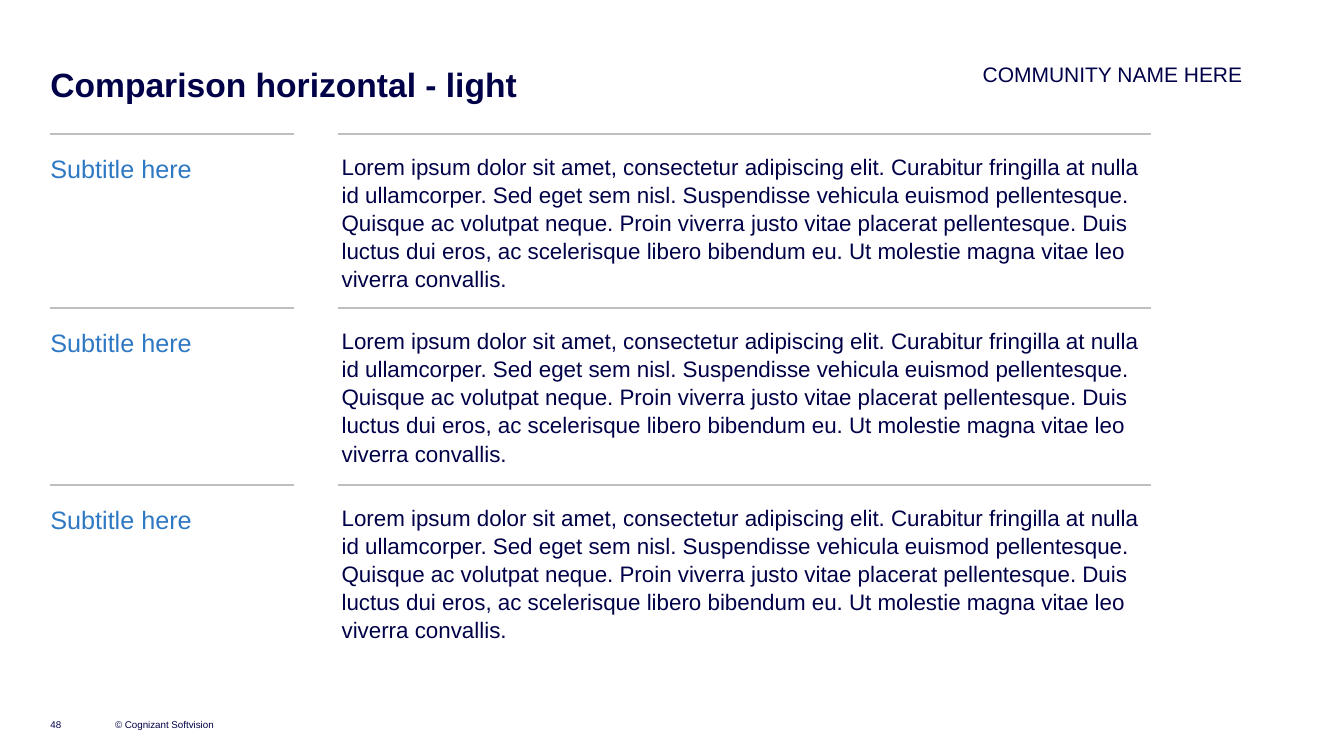
from dataclasses import dataclass

from lxml.etree import SubElement
from pptx import Presentation
from pptx.dml.color import RGBColor
from pptx.enum.shapes import MSO_CONNECTOR
from pptx.enum.text import MSO_ANCHOR, MSO_AUTO_SIZE, PP_ALIGN
from pptx.oxml.ns import qn
from pptx.util import Cm, Pt


@dataclass(frozen=True)
class Theme:
    font: str = "Arial"
    navy: str = "000048"
    blue: str = "2F78C4"
    grey: str = "BFBFBF"
    title: float = 24
    subtitle: float = 18
    body: float = 16
    community: float = 15
    footer: float = 7
    rule: float = 1.25


def write(frame, text, *, theme, size, color, bold=False, align=PP_ALIGN.LEFT,
          anchor=MSO_ANCHOR.TOP, spacing=1.0):
    """Fill a text frame with one formatted paragraph."""
    frame.margin_left = frame.margin_right = 0
    frame.margin_top = frame.margin_bottom = 0
    frame.word_wrap = True
    frame.auto_size = MSO_AUTO_SIZE.NONE
    frame.vertical_anchor = anchor
    paragraph = frame.paragraphs[0]
    paragraph.alignment = align
    paragraph.line_spacing = spacing
    run = paragraph.add_run()
    run.text = text
    run.font.name = theme.font
    run.font.size = Pt(size)
    run.font.bold = bold
    run.font.color.rgb = RGBColor.from_string(color)


class SlideBuilder:
    def __init__(self, slide, theme):
        self.slide = slide
        self.theme = theme

    def title(self, text, left, top, width, height):
        heading = self.slide.shapes.title
        heading.left, heading.top = Cm(left), Cm(top)
        heading.width, heading.height = Cm(width), Cm(height)
        write(heading.text_frame, text, theme=self.theme, size=self.theme.title,
              color=self.theme.navy, bold=True, spacing=1.05)

    def text(self, text, left, top, width, height, **style):
        box = self.slide.shapes.add_textbox(Cm(left), Cm(top), Cm(width), Cm(height))
        write(box.text_frame, text, theme=self.theme, **style)

    def rule(self, left, right, y):
        line = self.slide.shapes.add_connector(
            MSO_CONNECTOR.STRAIGHT, Cm(left), Cm(y), Cm(right), Cm(y))
        line.line.color.rgb = RGBColor.from_string(self.theme.grey)
        line.line.width = Pt(self.theme.rule)
        SubElement(line._element.spPr, qn("a:effectLst"))


LOREM = (
    "Lorem ipsum dolor sit amet, consectetur adipiscing elit. Curabitur fringilla at nulla "
    "id ullamcorper. Sed eget sem nisl. Suspendisse vehicula euismod pellentesque. "
    "Quisque ac volutpat neque. Proin viverra justo vitae placerat pellentesque. Duis "
    "luctus dui eros, ac scelerisque libero bibendum eu. Ut molestie magna vitae leo "
    "viverra convallis."
)
COMPARISONS = [  # rule height, subtitle, description
    (3.38, "Subtitle here", LOREM),
    (7.77, "Subtitle here", LOREM),
    (12.22, "Subtitle here", LOREM),
]
MARGIN = 1.27
TEXT_DROP = 0.44
TEXT_HEIGHT = 2.54
SUBTITLE_RULE = (1.25, 7.42)
DESCRIPTION_RULE = (8.53, 29.01)


def main():
    deck = Presentation()
    deck.slide_width, deck.slide_height = Cm(33.87), Cm(19.05)
    theme = Theme()
    page = SlideBuilder(deck.slides.add_slide(deck.slide_layouts[5]), theme)

    # Header
    page.title("Comparison horizontal - light", MARGIN, 1.55, 30.02, 0.86)
    page.text("COMMUNITY NAME HERE", 22.6, 1.55, 8.71, 0.64, size=theme.community,
              color=theme.navy, align=PP_ALIGN.RIGHT, anchor=MSO_ANCHOR.MIDDLE)

    # Comparison rows
    for y, subtitle, description in COMPARISONS:
        page.rule(*SUBTITLE_RULE, y)
        page.rule(*DESCRIPTION_RULE, y)
        page.text(subtitle, MARGIN, y + TEXT_DROP, 6.1, TEXT_HEIGHT,
                  size=theme.subtitle, color=theme.blue, spacing=1.05)
        page.text(description, 8.61, y + TEXT_DROP, 20.19, TEXT_HEIGHT,
                  size=theme.body, color=theme.navy, spacing=1.05)

    # Footer
    for text, left, width in (("48", MARGIN, 0.99), ("© Cognizant Softvision", 2.9, 3.33)):
        page.text(text, left, 17.88, width, 0.53, size=theme.footer,
                  color=theme.navy, anchor=MSO_ANCHOR.BOTTOM)

    deck.save("out.pptx")


if __name__ == "__main__":
    main()
